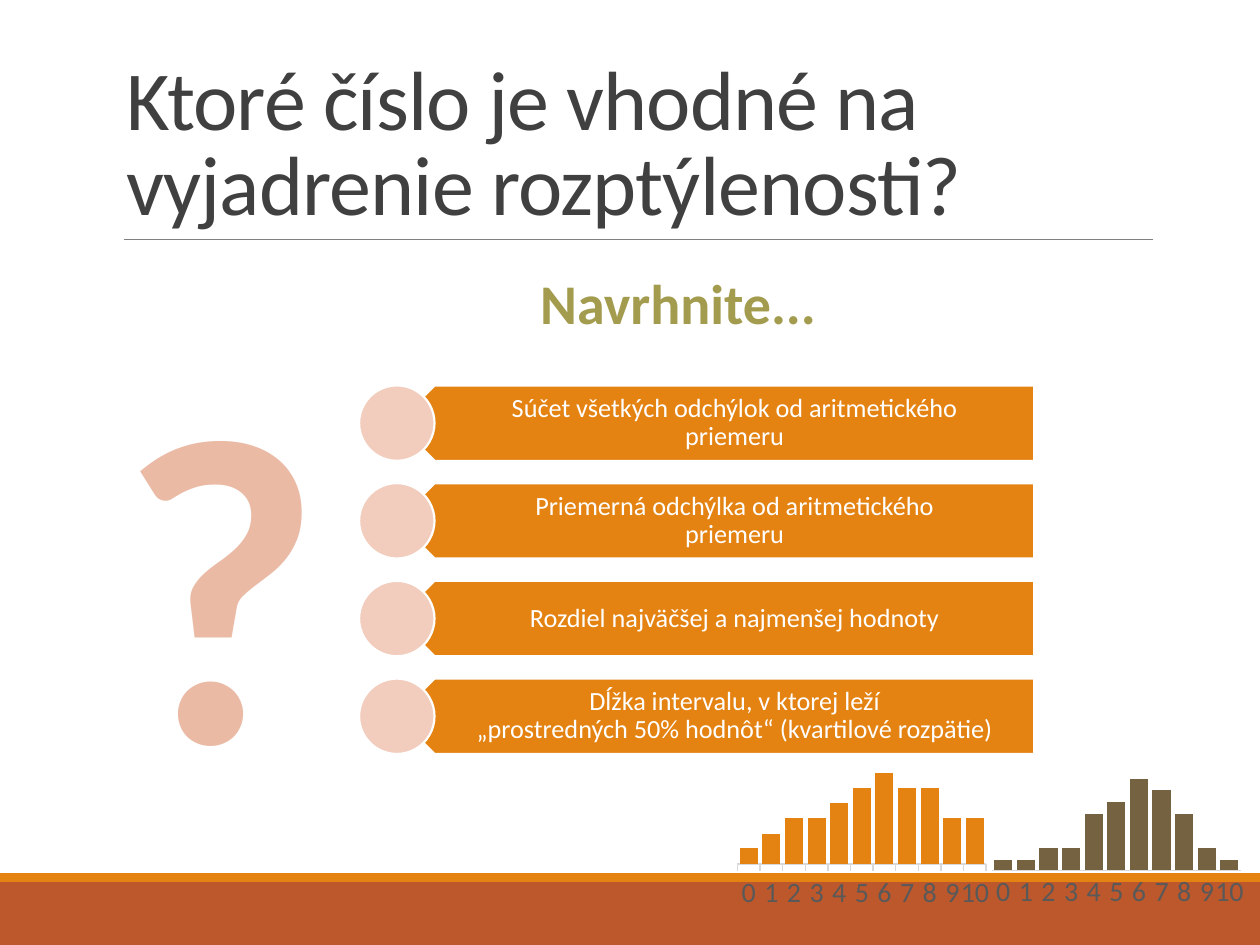
from lxml import etree
from pptx import Presentation
from pptx.chart.data import CategoryChartData
from pptx.dml.color import RGBColor
from pptx.enum.chart import XL_CHART_TYPE as ChartType, XL_TICK_MARK as Tick
from pptx.enum.shapes import MSO_CONNECTOR as Connector, MSO_SHAPE as Shape
from pptx.enum.text import MSO_ANCHOR as Anchor, MSO_AUTO_SIZE as AutoSize, PP_ALIGN as Align
from pptx.oxml import parse_xml
from pptx.oxml.ns import nsdecls, qn
from pptx.util import Cm, Pt

FONT = "Calibri"
WHITE = RGBColor(0xFF, 0xFF, 0xFF)
ORANGE = RGBColor(0xE4, 0x83, 0x12)
RUST = RGBColor(0xBD, 0x58, 0x2C)
PEACH = RGBColor(0xF2, 0xCD, 0xBD)
SALMON = RGBColor(0xEA, 0xBA, 0xA5)
OLIVE = RGBColor(0xA3, 0x9B, 0x4E)
BROWN = RGBColor(0x74, 0x62, 0x41)
DARK = RGBColor(0x40, 0x40, 0x40)
LABEL_GRAY = RGBColor(0x59, 0x59, 0x59)
RULE_GRAY = RGBColor(0x80, 0x80, 0x80)
AXIS_GRAY = RGBColor(0xD9, 0xD9, 0xD9)

TITLE = "Ktoré číslo je vhodné na vyjadrenie rozptýlenosti?"
PROMPT = "Navrhnite..."
OPTIONS = [
    "Súčet všetkých odchýlok od aritmetického\vpriemeru",
    "Priemerná odchýlka od aritmetického\vpriemeru",
    "Rozdiel najväčšej a najmenšej hodnoty",
    "Dĺžka intervalu, v ktorej leží\v„prostredných 50% hodnôt“ (kvartilové rozpätie)",
]
CATEGORIES = [str(number) for number in range(11)]
CHARTS = [
    dict(left=14.76, top=15.19, color=ORANGE, tick=Tick.OUTSIDE, plot_top=0.12,
         values=[17, 33, 50, 50, 67, 83, 100, 83, 83, 50, 50]),
    dict(left=19.89, top=15.16, color=BROWN, tick=Tick.NONE, plot_top=0.17,
         values=[12, 12, 25, 25, 62, 75, 100, 88, 62, 25, 12]),
]
CHART_WIDTH, CHART_HEIGHT = 5.28, 3.23
ROW_TOP, ROW_STEP, ROW_HEIGHT = 7.77, 1.97, 1.52
CIRCLE_LEFT, ARROW_LEFT, ROW_RIGHT = 7.24, 8.0, 20.85


def write(box, text, size, color, bold=False, align=Align.LEFT, anchor=Anchor.TOP,
          wrap=True, line_spacing=None, insets=(0.25, 0.13, 0.25, 0.13)):
    frame = box.text_frame
    frame.auto_size = AutoSize.NONE
    frame.word_wrap = wrap
    frame.vertical_anchor = anchor
    frame.margin_left, frame.margin_top, frame.margin_right, frame.margin_bottom = map(Cm, insets)
    frame.text = text
    para = frame.paragraphs[0]
    para.alignment = align
    if line_spacing:
        para.line_spacing = line_spacing
    for span in para.runs:
        font = span.font
        font.name, font.size, font.bold = FONT, Pt(size), bold
        font.color.rgb = color
    return para


def add_filled(shapes, kind, left, top, width, height, fill, outline=None):
    shape = shapes.add_shape(kind, Cm(left), Cm(top), Cm(width), Cm(height))
    shape.shadow.inherit = False
    shape.fill.solid()
    shape.fill.fore_color.rgb = fill
    if outline is None:
        shape.line.fill.background()
    else:
        shape.line.color.rgb = outline
        shape.line.width = Pt(1.25)
    return shape


def add_textbox(shapes, left, top, width, height):
    return shapes.add_textbox(Cm(left), Cm(top), Cm(width), Cm(height))


def add_option(shapes, index, text):
    top = ROW_TOP + index * ROW_STEP
    arrow = add_filled(shapes, Shape.PENTAGON, ARROW_LEFT, top,
                       ROW_RIGHT - ARROW_LEFT, ROW_HEIGHT, ORANGE, WHITE)
    arrow.rotation = 180
    text_left = ARROW_LEFT + ROW_HEIGHT / 4
    box = add_textbox(shapes, text_left, top, ROW_RIGHT - text_left, ROW_HEIGHT)
    write(box, text, 15, WHITE, align=Align.CENTER, anchor=Anchor.MIDDLE,
          line_spacing=0.9, insets=(0.69, 0.15, 0.3, 0.15))
    add_filled(shapes, Shape.OVAL, CIRCLE_LEFT, top, ROW_HEIGHT, ROW_HEIGHT, PEACH, WHITE)


def place_plot(chart, **fractions):
    """Fix the inner plot area as fractions of the chart frame."""
    area = chart.element.find(".//" + qn("c:plotArea"))
    for layout in area.findall(qn("c:layout")):
        area.remove(layout)
    settings = dict(layoutTarget="inner", xMode="edge", yMode="edge", **fractions)
    children = "".join(f'<c:{name} val="{value}"/>' for name, value in settings.items())
    area.insert(0, parse_xml(f'<c:layout {nsdecls("c")}><c:manualLayout>{children}'
                             "</c:manualLayout></c:layout>"))


def add_histogram(shapes, left, top, color, tick, plot_top, values):
    data = CategoryChartData()
    data.categories = CATEGORIES
    data.add_series("Series 1", values)
    chart = shapes.add_chart(ChartType.COLUMN_CLUSTERED, Cm(left), Cm(top),
                             Cm(CHART_WIDTH), Cm(CHART_HEIGHT), data).chart
    chart.has_legend = chart.has_title = False
    chart.font.name, chart.font.size = FONT, Pt(10)

    plot = chart.plots[0]
    plot.gap_width, plot.overlap, plot.vary_by_categories = 25, -27, False
    fill = plot.series[0].format.fill
    fill.solid()
    fill.fore_color.rgb = color

    value_axis = chart.value_axis
    value_axis.visible = value_axis.has_major_gridlines = False
    value_axis.minimum_scale, value_axis.maximum_scale, value_axis.major_unit = 0, 100, 25

    axis = chart.category_axis
    axis.major_tick_mark, axis.minor_tick_mark = tick, Tick.NONE
    axis.format.line.color.rgb = AXIS_GRAY
    axis.format.line.width = Pt(0.75)
    font = axis.tick_labels.font
    font.name, font.size = FONT, Pt(16)
    font.color.rgb = LABEL_GRAY
    labels = chart.element.find(f".//{qn('c:catAx')}/{qn('c:txPr')}/{qn('a:bodyPr')}")
    labels.set("rot", "-60000000")
    labels.set("vert", "horz")
    place_plot(chart, x=0.02, y=plot_top, w=0.95, h=0.57)


def main():
    deck = Presentation()
    deck.slide_width, deck.slide_height = Cm(25.4), Cm(19.05)
    slide = deck.slides.add_slide(deck.slide_layouts[5])
    shapes = slide.shapes

    add_filled(shapes, Shape.RECTANGLE, 0, 17.78, 25.4, 1.27, RUST)
    add_filled(shapes, Shape.RECTANGLE, 0, 17.6, 25.4, 0.18, ORANGE)
    rule = shapes.add_connector(Connector.STRAIGHT, Cm(2.49), Cm(4.83), Cm(23.24), Cm(4.83))
    rule.line.color.rgb = RULE_GRAY
    rule.line.width = Pt(0.5)
    etree.SubElement(rule.element.spPr, qn("a:effectLst"))

    title = shapes.title
    title.left, title.top, title.width, title.height = map(Cm, (2.29, 0.79, 20.96, 4.04))
    heading = write(title, TITLE, 48, DARK, anchor=Anchor.BOTTOM, line_spacing=0.85)
    heading.runs[0].font.element.set("spc", "-50") if hasattr(
        heading.runs[0].font, "element") else heading.runs[0]._r.get_or_add_rPr().set("spc", "-50")

    for histogram in CHARTS:
        add_histogram(shapes, **histogram)

    options = shapes.add_group_shape()
    for index, text in enumerate(OPTIONS):
        add_option(options.shapes, index, text)

    write(add_textbox(shapes, 1.22, 6.05, 6.48, 10.95), "?", 250, SALMON,
          bold=True, align=Align.CENTER)
    write(add_textbox(shapes, 10.64, 5.28, 6.78, 1.63), PROMPT, 32, OLIVE,
          bold=True, wrap=False)
    deck.save("out.pptx")


if __name__ == "__main__":
    main()
